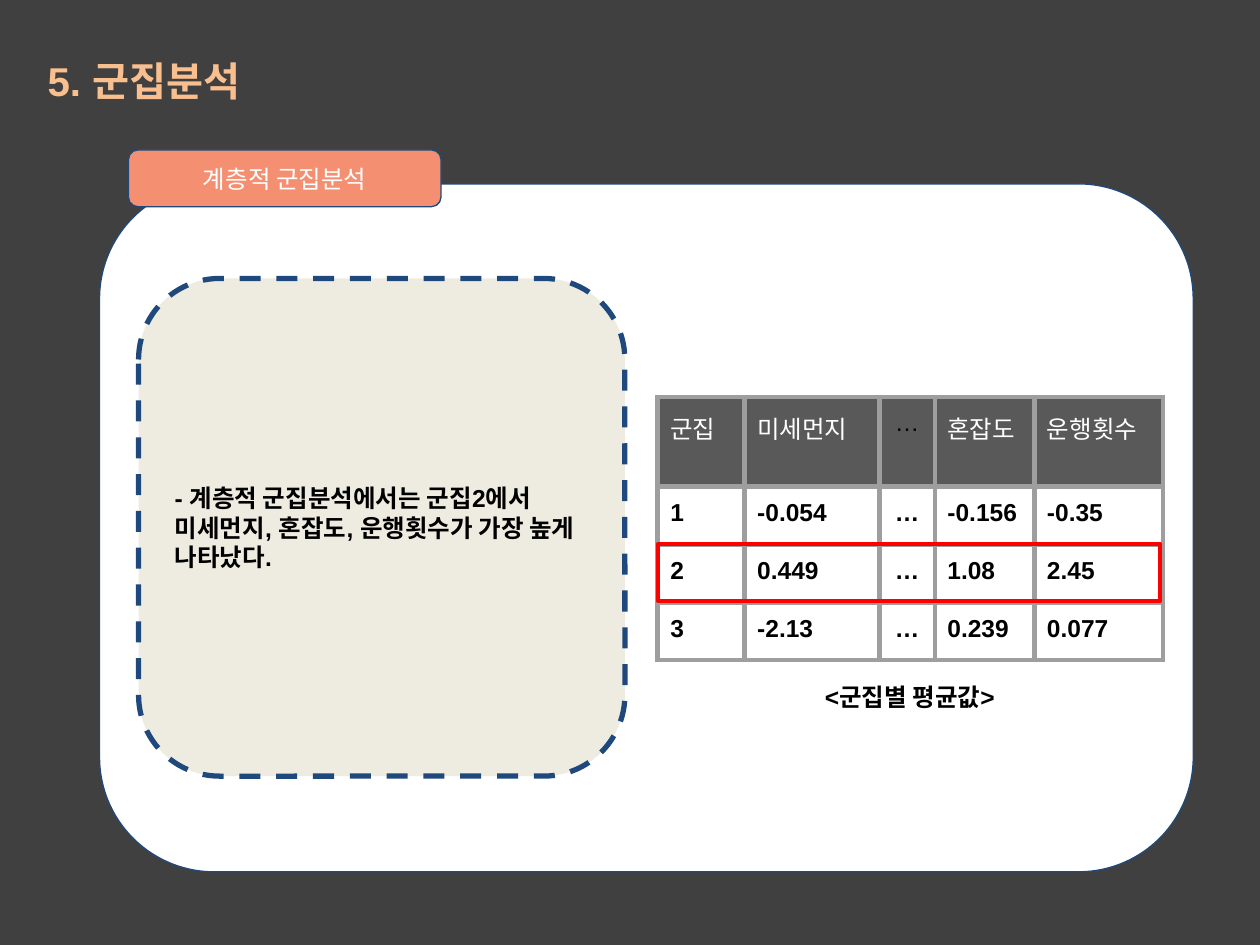
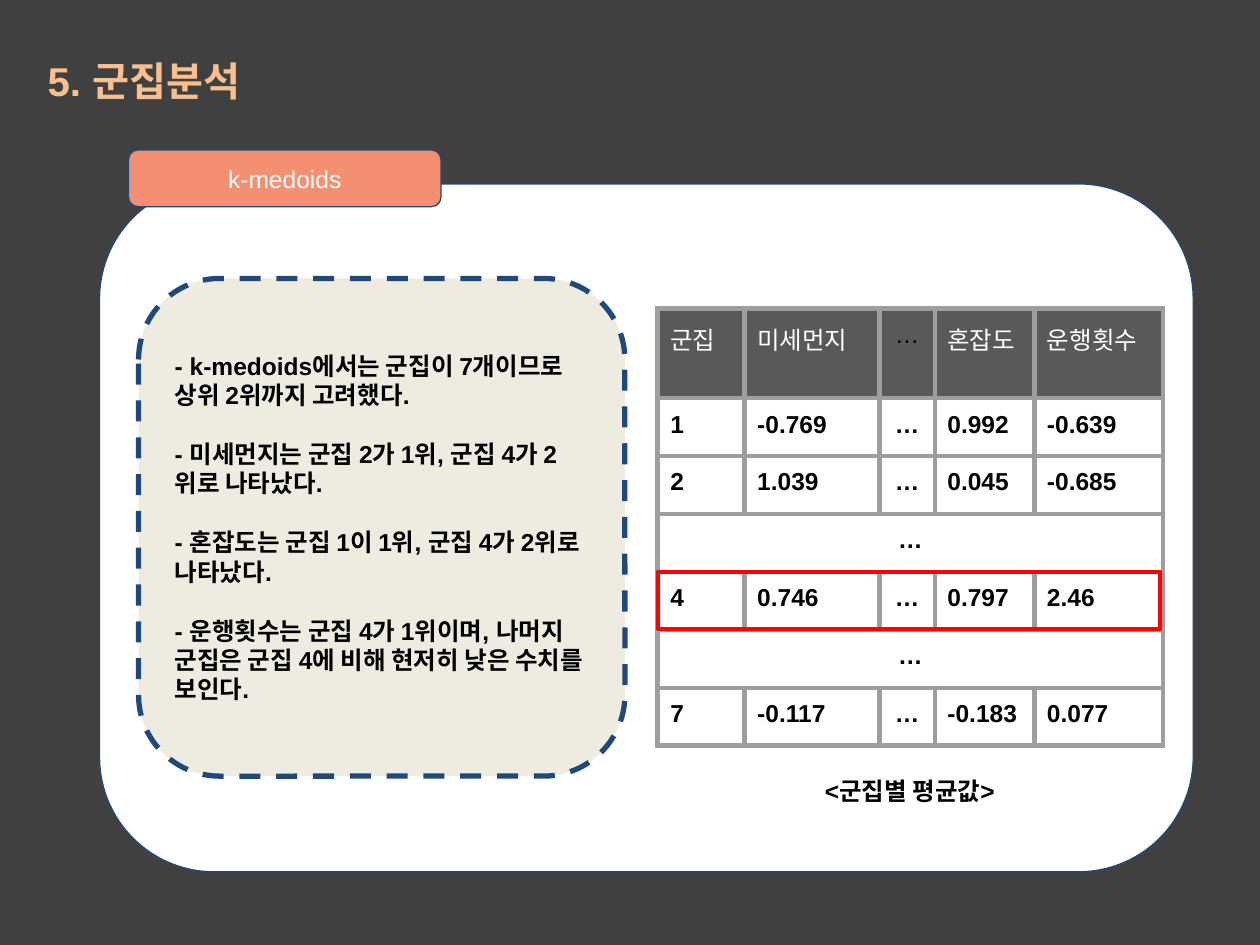
import pptx
import pptx.dml.color
import pptx.enum.dml
import pptx.enum.shapes
import pptx.enum.text
import pptx.oxml
import pptx.oxml.ns
import pptx.util
from lxml import etree

Inches = pptx.util.Inches
Pt = pptx.util.Pt
ALIGN = pptx.enum.text.PP_ALIGN
ANCHOR = pptx.enum.text.MSO_ANCHOR
SHAPES = pptx.enum.shapes.MSO_SHAPE

# Shared look
FONT = "Arial"
BACKGROUND, PEACH, CORAL, NAVY = "404040", "FABF8E", "F49071", "1F497D"
BEIGE, WHITE, BLACK, RED = "EEECE1", "FFFFFF", "000000", "FF0000"
HEADER_GRAY, BORDER_GRAY = "595959", "9E9E9E"
BODY = {"size": Pt(14), "bold": True, "color": BLACK}
LABEL = {"size": Pt(14), "bold": False, "color": WHITE}
TITLE = {"size": Pt(23), "bold": True, "color": PEACH}

# Table geometry
TABLE_LEFT, TABLE_WIDTH = 5.22, 3.99
COLUMN_WIDTHS = [0.69, 1.07, 0.44, 0.79, 1.02]
HEADER_HEIGHT, ROW_HEIGHT = 0.71, 0.46
HEADER = ["군집", "미세먼지", "…", "혼잡도", "운행횟수"]
ELLIPSIS = "…"

SLIDES = [
    {
        "method": "계층적 군집분석",
        "findings": ["- 계층적 군집분석에서는 군집2에서 미세먼지, 혼잡도, 운행횟수가 가장 높게 나타났다."],
        "table_top": 3.15,
        "caption_top": 5.31,
        "highlight_row": 2,
        "rows": [
            ["1", "-0.054", "…", "-0.156", "-0.35"],
            ["2", "0.449", "…", "1.08", "2.45"],
            ["3", "-2.13", "…", "0.239", "0.077"],
        ],
    },
    {
        "method": "k-medoids",
        "findings": [
            "- k-medoids에서는 군집이 7개이므로 상위 2위까지 고려했다.",
            "- 미세먼지는 군집 2가 1위, 군집 4가 2위로 나타났다.",
            "- 혼잡도는 군집 1이 1위, 군집 4가 2위로 나타났다.",
            "- 운행횟수는 군집 4가 1위이며, 나머지 군집은 군집 4에 비해 현저히 낮은 수치를 보인다.",
        ],
        "table_top": 2.45,
        "caption_top": 6.06,
        "highlight_row": 4,
        "rows": [
            ["1", "-0.769", "…", "0.992", "-0.639"],
            ["2", "1.039", "…", "0.045", "-0.685"],
            [ELLIPSIS],
            ["4", "0.746", "…", "0.797", "2.46"],
            [ELLIPSIS],
            ["7", "-0.117", "…", "-0.183", "0.077"],
        ],
    },
]


def color(hex_string):
    return pptx.dml.color.RGBColor.from_string(hex_string)


def set_fill(fill, hex_string):
    if hex_string is None:
        fill.background()
    else:
        fill.solid()
        fill.fore_color.rgb = color(hex_string)


def write(frame, texts, style, align=ALIGN.LEFT, gap=0, line_spacing=None):
    """Fill a text frame with one paragraph per text."""
    for index, text in enumerate(texts):
        paragraph = frame.paragraphs[0] if index == 0 else frame.add_paragraph()
        paragraph.alignment = align
        if line_spacing:
            paragraph.line_spacing = line_spacing
        if index and gap:
            paragraph.space_before = Pt(gap)
        run = paragraph.add_run()
        run.text = text
        run.font.name = FONT
        for name, value in style.items():
            if name == "color":
                run.font.color.rgb = color(value)
            else:
                setattr(run.font, name, value)


def set_frame(frame, anchor, vertical_margin=0.1):
    settings = {
        "word_wrap": True,
        "vertical_anchor": anchor,
        "margin_left": Inches(0.1),
        "margin_right": Inches(0.1),
        "margin_top": Inches(vertical_margin),
        "margin_bottom": Inches(vertical_margin),
    }
    for name, value in settings.items():
        setattr(frame, name, value)


def add_text(slide, box, text, style, vertical_margin=0.1, **layout):
    textbox = slide.shapes.add_textbox(*map(Inches, box))
    set_frame(textbox.text_frame, ANCHOR.TOP, vertical_margin)
    write(textbox.text_frame, [text], style, **layout)


def add_panel(slide, box, fill, line, width, kind=SHAPES.ROUNDED_RECTANGLE, dash=None):
    shape = slide.shapes.add_shape(kind, *map(Inches, box))
    shape.shadow.inherit = False
    set_fill(shape.fill, fill)
    shape.line.color.rgb = color(line)
    shape.line.width = Pt(width)
    if dash:
        shape.line.dash_style = dash
    set_frame(shape.text_frame, ANCHOR.MIDDLE)
    return shape


def set_borders(cell):
    properties = cell._tc.get_or_add_tcPr()
    for index, side in enumerate(("lnL", "lnR", "lnT", "lnB")):
        line = etree.Element(pptx.oxml.ns.qn(f"a:{side}"), w=str(Pt(3)))
        fill = etree.SubElement(line, pptx.oxml.ns.qn("a:solidFill"))
        etree.SubElement(fill, pptx.oxml.ns.qn("a:srgbClr"), val=BORDER_GRAY)
        properties.insert(index, line)


def add_cluster_table(slide, top, rows):
    height = HEADER_HEIGHT + ROW_HEIGHT * len(rows)
    box = (TABLE_LEFT, top, TABLE_WIDTH, height)
    table = slide.shapes.add_table(len(rows) + 1, len(HEADER), *map(Inches, box)).table
    table.first_row = table.horz_banding = False
    for column, width in zip(table.columns, COLUMN_WIDTHS):
        column.width = Inches(width)
    for row_index, texts in enumerate([HEADER] + rows):
        is_header = row_index == 0
        table.rows[row_index].height = Inches(HEADER_HEIGHT if is_header else ROW_HEIGHT)
        for column_index in range(len(HEADER)):
            cell = table.cell(row_index, column_index)
            set_fill(cell.fill, HEADER_GRAY if is_header else None)
            set_borders(cell)
            for side in ("left", "right", "top", "bottom"):
                setattr(cell, f"margin_{side}", Inches(0.1))
        if len(texts) == 1:
            table.cell(row_index, 0).merge(table.cell(row_index, len(HEADER) - 1))
        for column_index, text in enumerate(texts):
            style = LABEL if is_header else BODY
            align = ALIGN.LEFT
            if text == ELLIPSIS:
                style = {**style, "color": BLACK}
                align = ALIGN.CENTER
            write(table.cell(row_index, column_index).text_frame, [text], style, align)


def add_cluster_slide(presentation, content):
    slide = presentation.slides.add_slide(presentation.slide_layouts[6])
    set_fill(slide.background.fill, BACKGROUND)

    # Title, white panel and method tab
    add_text(slide, (0.28, 0.44, 8.03, 0.45), "5. 군집분석", TITLE,
             vertical_margin=0.05, line_spacing=0.9)
    add_panel(slide, (0.79, 1.46, 8.68, 5.46), WHITE, NAVY, 0.75)
    tab = add_panel(slide, (1.02, 1.19, 2.48, 0.45), CORAL, NAVY, 0.75)
    write(tab.text_frame, [content["method"]], LABEL, ALIGN.CENTER)

    # Findings
    findings = add_panel(slide, (1.1, 2.21, 3.86, 3.95), BEIGE, NAVY, 3,
                         dash=pptx.enum.dml.MSO_LINE.DASH)
    write(findings.text_frame, content["findings"], BODY, gap=16.8)

    # Table of cluster means with the leading cluster framed
    add_text(slide, (5.53, content["caption_top"], 3.38, 0.44), "<군집별 평균값>", BODY,
             align=ALIGN.CENTER)
    add_cluster_table(slide, content["table_top"], content["rows"])
    frame_top = content["table_top"] + HEADER_HEIGHT + ROW_HEIGHT * (content["highlight_row"] - 1)
    add_panel(slide, (TABLE_LEFT, frame_top, TABLE_WIDTH, 0.45), None, RED, 2.25,
              kind=SHAPES.RECTANGLE)


def main():
    presentation = pptx.Presentation()
    presentation.slide_width = Inches(10)
    presentation.slide_height = Inches(7.5)
    for content in SLIDES:
        add_cluster_slide(presentation, content)
    presentation.save("out.pptx")


if __name__ == "__main__":
    main()
